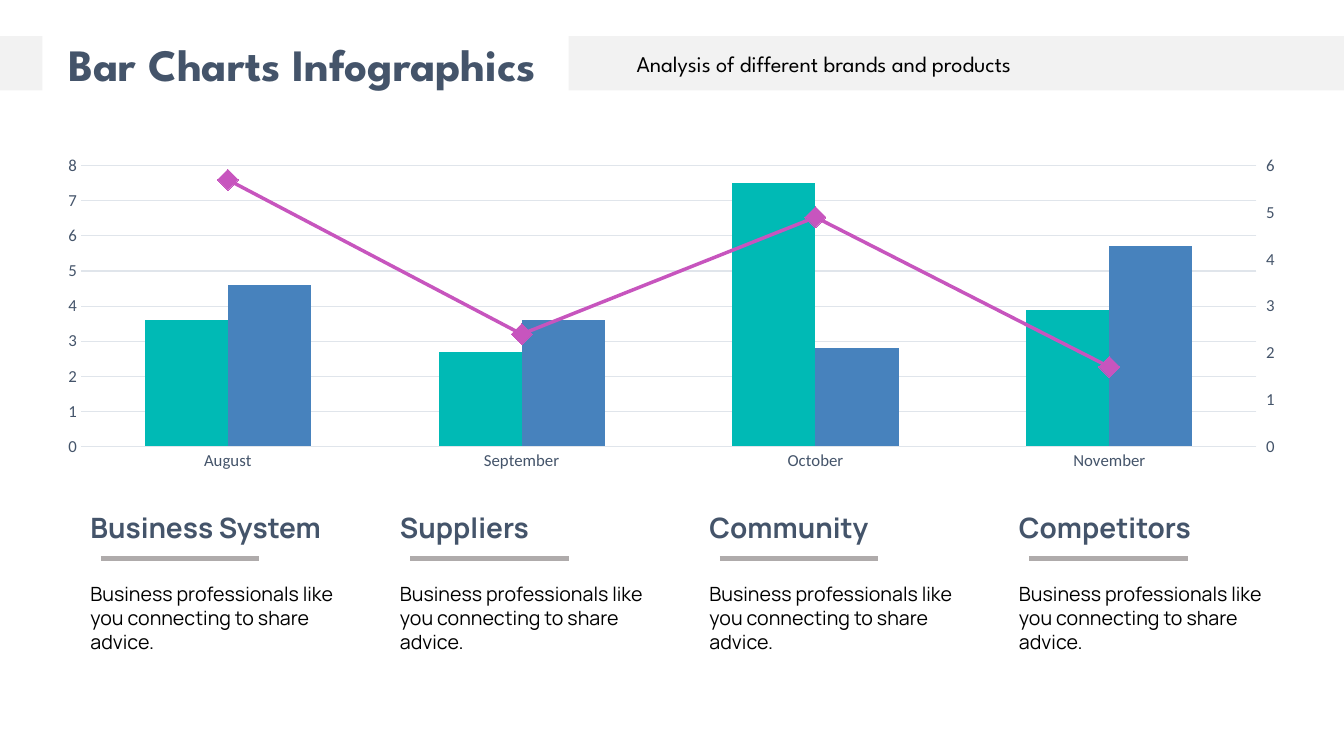
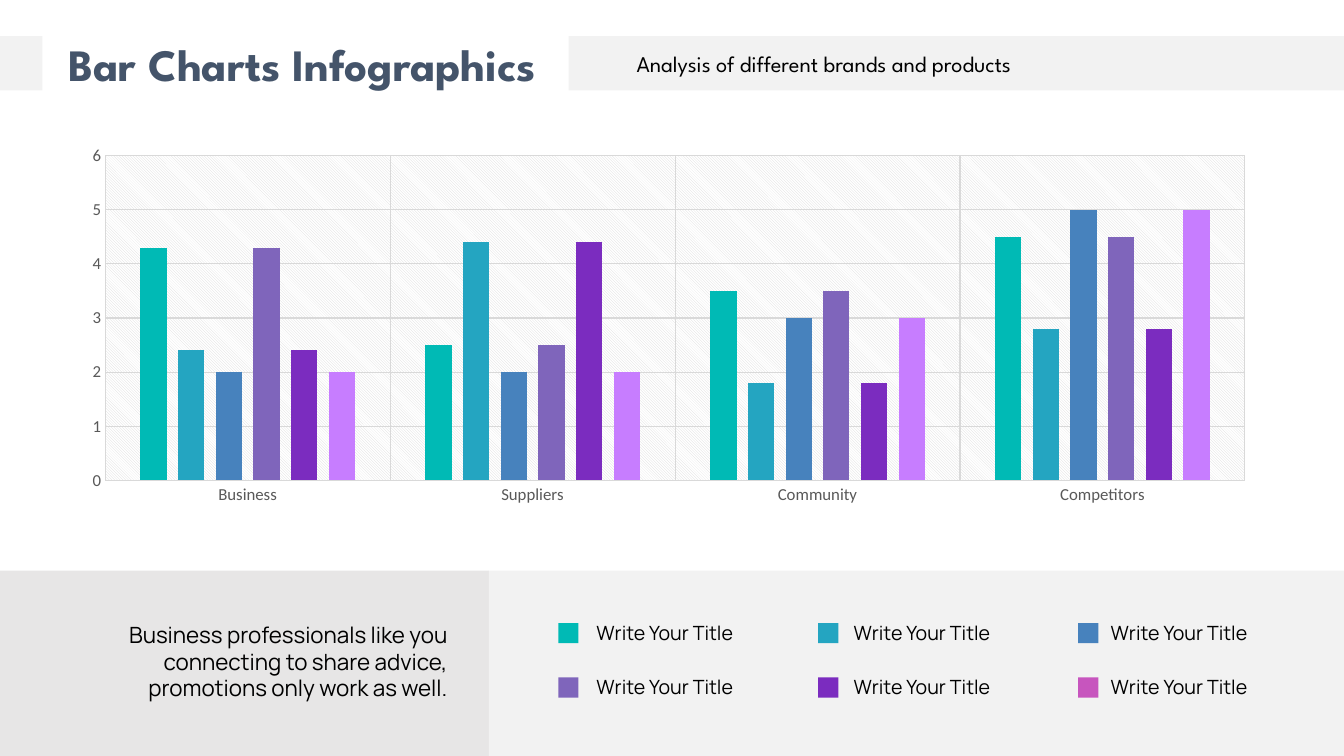
from collections import namedtuple

from pptx import Presentation
from pptx.chart.axis import ValueAxis
from pptx.chart.data import CategoryChartData
from pptx.dml.color import RGBColor
from pptx.enum.chart import XL_CHART_TYPE as ChartType
from pptx.enum.chart import XL_MARKER_STYLE as MarkerStyle
from pptx.enum.chart import XL_TICK_MARK as TickMark
from pptx.enum.shapes import MSO_CONNECTOR as Connector
from pptx.enum.shapes import MSO_SHAPE as Shape
from pptx.enum.text import MSO_AUTO_SIZE as AutoSize
from pptx.enum.text import PP_ALIGN as Align
from pptx.oxml import parse_xml
from pptx.oxml.ns import nsdecls, qn
from pptx.util import Cm, Pt

Box = namedtuple("Box", "left top width height")

COLORS = {
    "band": "F2F2F2", "panel": "E7E6E6", "heading": "44546A", "text": "000000",
    "underline": "AFABAB", "pale_grid": "E0E5EB", "grid": "D9D9D9",
    "axis_text": "595959", "white": "FFFFFF", "teal": "00BAB5",
    "cyan": "24A5C1", "blue": "4782BD", "lavender": "7F65BB",
    "purple": "7B2CBF", "violet": "C77DFF", "magenta": "C755BE",
}
TITLE_FONT, BODY_FONT, CHART_FONT = "League Spartan", "Manrope", "Calibri"
SLIDE_WIDTH, SLIDE_HEIGHT = 33.87, 19.05


def rgb(name):
    return RGBColor.from_string(COLORS[name])


def lengths(box):
    return [Cm(value) for value in box]


def style_font(font, name, size, color, bold=False):
    font.name, font.size, font.bold = name, Pt(size), bold
    font.color.rgb = rgb(color)


def add_rectangle(slide, box, color):
    shape = slide.shapes.add_shape(Shape.RECTANGLE, *lengths(box))
    shape.shadow.inherit = False
    shape.fill.solid()
    shape.fill.fore_color.rgb = rgb(color)
    shape.line.fill.background()


def add_text(slide, box, text, font, size, color="text", bold=False, align=Align.LEFT):
    frame = slide.shapes.add_textbox(*lengths(box)).text_frame
    frame.word_wrap = True
    frame.auto_size = AutoSize.SHAPE_TO_FIT_TEXT
    paragraph = frame.paragraphs[0]
    paragraph.alignment = align
    run = paragraph.add_run()
    run.text = text
    style_font(run.font, font, size, color, bold)


def add_underline(slide, left, top, width):
    line = slide.shapes.add_connector(
        Connector.STRAIGHT, Cm(left), Cm(top), Cm(left + width), Cm(top))
    line.line.color.rgb = rgb("underline")
    line.line.width = Pt(3.75)
    line.element.spPr.append(parse_xml(f"<a:effectLst {nsdecls('a')}/>"))


def add_header(slide, box):
    """Title between two grey bands, with the subtitle on the right band."""
    right_band = 14.33
    add_rectangle(slide, Box(box.left + right_band, box.top,
                             box.width - right_band, box.height), "band")
    add_text(slide, Box(box.left + 0.61, box.top - 0.12, 14.02, 1.63),
             "Bar Charts Infographics", TITLE_FONT, 32, "heading", True, Align.CENTER)
    add_text(slide, Box(box.left + 14.63, box.top + 0.23, 12.27, 0.94),
             "Analysis of different brands and products", TITLE_FONT, 16,
             align=Align.CENTER)
    add_rectangle(slide, Box(box.left, box.top, 1.07, box.height), "band")


def style_grid(axis, color):
    axis.has_major_gridlines = True
    line = axis.major_gridlines.format.line
    line.color.rgb = rgb(color)
    line.width = Pt(0.75)


def style_axis(axis, text_color, line_color=None, tick=TickMark.NONE):
    axis.major_tick_mark = tick
    axis.minor_tick_mark = TickMark.NONE
    style_font(axis.tick_labels.font, CHART_FONT, 12, text_color)
    line = axis.format.line
    if line_color:
        line.color.rgb = rgb(line_color)
        line.width = Pt(0.75)
    else:
        line.fill.background()


def scale_axis(axis, maximum):
    axis.minimum_scale, axis.maximum_scale, axis.major_unit = 0, maximum, 1


def add_column_chart(slide, box, categories, series, maximum, gap, overlap,
                     text_color, grid_color):
    """Series are (values, colour) pairs; returns the styled chart."""
    data = CategoryChartData()
    data.categories = categories
    for number, (values, _) in enumerate(series, 1):
        data.add_series(f"Series {number}", values)
    chart = slide.shapes.add_chart(
        ChartType.COLUMN_CLUSTERED, *lengths(box), data).chart
    chart.has_title = chart.has_legend = False
    style_font(chart.font, CHART_FONT, 10, "text")
    plot = chart.plots[0]
    plot.vary_by_categories = False
    plot.gap_width, plot.overlap = gap, overlap
    for column, (_, color) in zip(plot.series, series):
        column.format.fill.solid()
        column.format.fill.fore_color.rgb = rgb(color)
    style_axis(chart.category_axis, text_color, grid_color)
    style_axis(chart.value_axis, text_color)
    style_grid(chart.value_axis, grid_color)
    scale_axis(chart.value_axis, maximum)
    return chart


def move_last_series_to_line(chart, color, text_color, maximum):
    """Draw the last series as a line against a second axis on the right."""
    plot_area = chart.element.find(".//" + qn("c:plotArea"))
    bars = plot_area.find(qn("c:barChart"))
    series = bars.findall(qn("c:ser"))[-1]
    for tag in ("c:spPr", "c:invertIfNegative"):
        child = series.find(qn(tag))
        if child is not None:
            series.remove(child)
    names = nsdecls("c")
    lines = parse_xml(
        f'<c:lineChart {names}><c:grouping val="standard"/><c:varyColors val="0"/>'
        '<c:marker val="1"/><c:axId val="5001"/><c:axId val="5002"/></c:lineChart>')
    lines.insert(2, series)
    bars.addnext(lines)
    hidden_axis = parse_xml(
        f'<c:catAx {names}><c:axId val="5001"/>'
        '<c:scaling><c:orientation val="minMax"/></c:scaling>'
        '<c:delete val="1"/><c:axPos val="b"/><c:crossAx val="5002"/></c:catAx>')
    right_axis = parse_xml(
        f'<c:valAx {names}><c:axId val="5002"/>'
        '<c:scaling><c:orientation val="minMax"/></c:scaling>'
        '<c:delete val="0"/><c:axPos val="r"/>'
        '<c:numFmt formatCode="General" sourceLinked="0"/>'
        '<c:tickLblPos val="nextTo"/><c:crossAx val="5001"/>'
        '<c:crosses val="max"/></c:valAx>')
    value_axis = plot_area.find(qn("c:valAx"))
    value_axis.addnext(hidden_axis)
    hidden_axis.addnext(right_axis)
    axis = ValueAxis(right_axis)
    style_axis(axis, text_color, tick=TickMark.OUTSIDE)
    scale_axis(axis, maximum)

    line = chart.plots[1].series[0]
    line.smooth = False
    line.format.line.color.rgb = rgb(color)
    line.format.line.width = Pt(2.5)
    line.marker.style, line.marker.size = MarkerStyle.DIAMOND, 15
    line.marker.format.fill.solid()
    line.marker.format.fill.fore_color.rgb = rgb(color)
    line.marker.format.line.color.rgb = rgb(color)


def fill_chart_background(chart):
    """White chart area, hatched plot area."""
    names = nsdecls("c", "a")
    white = f'<a:srgbClr val="{COLORS["white"]}"/>'
    chart.element.find(qn("c:chart")).addnext(parse_xml(
        f"<c:spPr {names}><a:solidFill>{white}</a:solidFill>"
        "<a:ln><a:noFill/></a:ln></c:spPr>"))
    chart.element.find(".//" + qn("c:plotArea")).append(parse_xml(
        f'<c:spPr {names}><a:pattFill prst="ltDnDiag">'
        f'<a:fgClr><a:srgbClr val="{COLORS["grid"]}"/></a:fgClr>'
        f"<a:bgClr>{white}</a:bgClr></a:pattFill><a:ln><a:noFill/></a:ln></c:spPr>"))


def add_topic(slide, box, heading):
    add_text(slide, Box(box.left, box.top, 6.73, 1.12), heading,
             BODY_FONT, 20, "heading", True)
    add_underline(slide, box.left + 0.51, box.top + 1.35, 3.99)
    add_text(slide, Box(box.left, box.top + 1.82, box.width, box.height - 1.82),
             "Business professionals like you connecting to share advice.",
             BODY_FONT, 14)


def add_footer(slide, box):
    """Note on a dark panel, then a legend of three columns and two rows."""
    note_width = 12.32
    legend_left = box.left + note_width
    add_rectangle(slide, box._replace(width=note_width), "panel")
    add_rectangle(slide, box._replace(left=legend_left, width=box.width - note_width),
                  "band")
    add_text(slide, Box(box.left + 1.12, box.top + 1.14, 10.41, 2.31),
             "Business professionals like you connecting to share advice, "
             "promotions only work as well.", BODY_FONT, 16, align=Align.RIGHT)
    swatches = ("teal", "cyan", "blue", "lavender", "purple", "magenta")
    for index, color in enumerate(swatches):
        row, column = divmod(index, 3)
        row_top = box.top + 1.37 * row
        add_rectangle(slide, Box(legend_left + 1.75 + 6.55 * column,
                                 row_top + 1.32, 0.51, 0.51), color)
        add_text(slide, Box(legend_left + 2.46 + 6.48 * column,
                            row_top + 1.14, 4.11, 0.86),
                 "Write Your Title", BODY_FONT, 14)


def add_slide(presentation):
    slide = presentation.slides.add_slide(presentation.slide_layouts[6])
    add_header(slide, Box(0, 0.91, SLIDE_WIDTH, 1.37))
    return slide


def build_monthly_slide(presentation):
    slide = add_slide(presentation)
    chart = add_column_chart(
        slide, Box(1.09, 3.76, 31.67, 8.26),
        ("August", "September", "October", "November"),
        [((3.6, 2.7, 7.5, 3.9), "teal"), ((4.6, 3.6, 2.8, 5.7), "blue"),
         ((5.7, 2.4, 4.9, 1.7), "magenta")],
        8, 154, 0, "heading", "pale_grid")
    move_last_series_to_line(chart, "magenta", "heading", 6)
    topics = ("Business System", "Suppliers", "Community", "Competitors")
    for index, heading in enumerate(topics):
        add_topic(slide, Box(2.03 + 7.8 * index, 12.73, 7.39, 3.88), heading)


def build_group_slide(presentation):
    slide = add_slide(presentation)
    first, second, third = (4.3, 2.5, 3.5, 4.5), (2.4, 4.4, 1.8, 2.8), (2, 2, 3, 5)
    chart = add_column_chart(
        slide, Box(1.73, 3.48, 30.25, 9.42),
        ("Business", "Suppliers", "Community", "Competitors"),
        [(first, "teal"), (second, "cyan"), (third, "blue"),
         (first, "lavender"), (second, "purple"), (third, "violet")],
        6, 267, -43, "axis_text", "grid")
    style_grid(chart.category_axis, "grid")
    fill_chart_background(chart)
    add_footer(slide, Box(0, 14.38, SLIDE_WIDTH, SLIDE_HEIGHT - 14.38))


def main():
    presentation = Presentation()
    presentation.slide_width = Cm(SLIDE_WIDTH)
    presentation.slide_height = Cm(SLIDE_HEIGHT)
    build_monthly_slide(presentation)
    build_group_slide(presentation)
    presentation.save("out.pptx")


if __name__ == "__main__":
    main()
